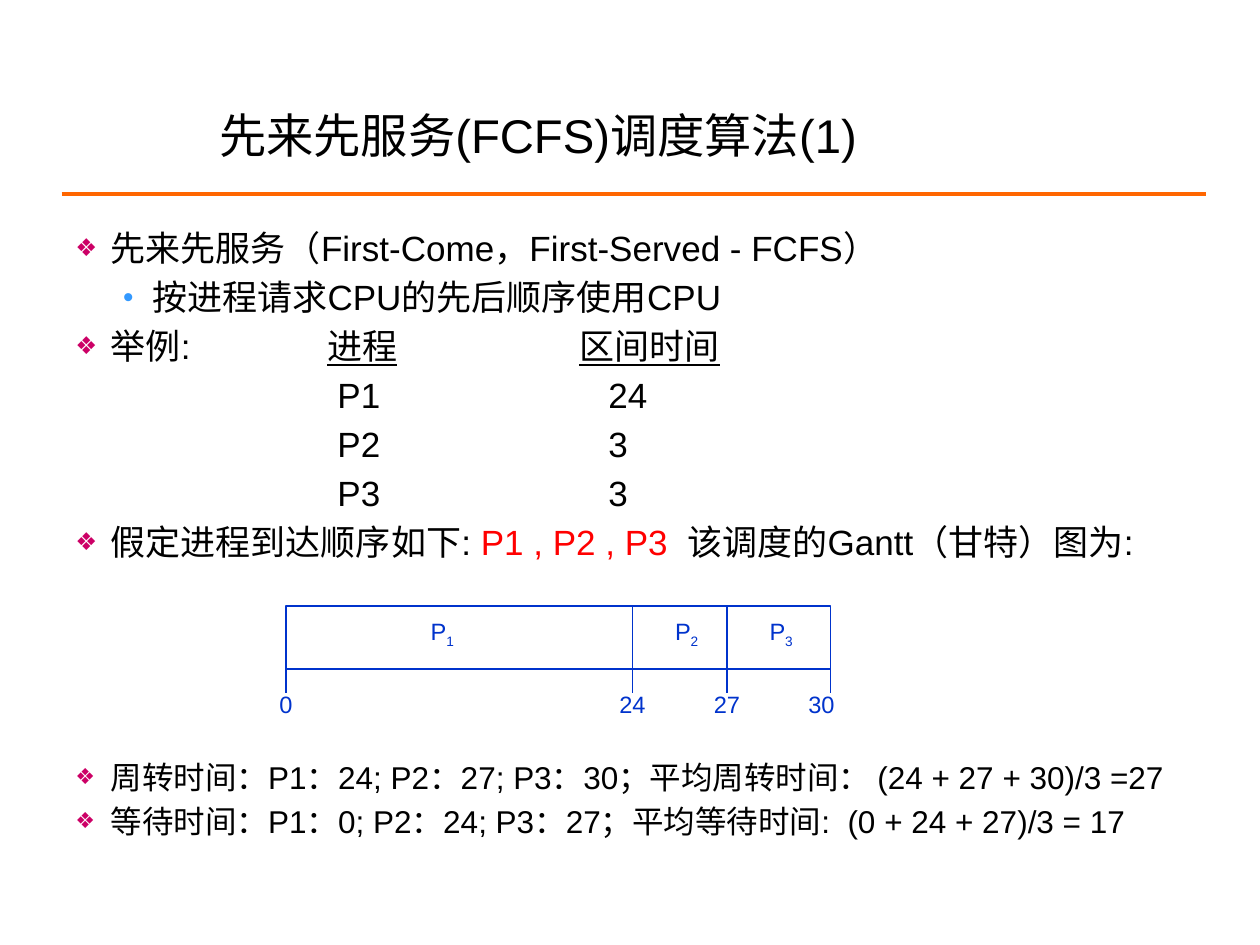
from dataclasses import dataclass

from lxml import etree
from pptx import Presentation
from pptx.dml.color import RGBColor
from pptx.enum import shapes, text
from pptx.oxml import ns
from pptx.util import Inches, Pt


@dataclass(frozen=True)
class Theme:
    font: str = "Arial"
    ink: str = "000000"
    paper: str = "FFFFFF"
    rule: str = "FF6600"
    accent: str = "FF0000"
    gantt: str = "0033CC"
    diamond: str = "CC0066"
    dot: str = "3399FF"
    title_size: float = 27
    body_size: float = 20
    result_size: float = 18
    gantt_size: float = 13.5


THEME = Theme()

# Bullet styles: character, colour, size in percent, left indent, hanging part
DIAMOND = ("❖", THEME.diamond, 70, 0.28, 0.28)
DOT = ("•", THEME.dot, 85, 0.61, 0.23)

HEADER_TABS = (2, 4)
ROW_TABS = (2.08, 4.23)
PROCESSES = [("P1", 24), ("P2", 3), ("P3", 3)]


def add_element(parent, tag, **attributes):
    child = etree.SubElement(parent, ns.qn(tag))
    for name, value in attributes.items():
        child.set(name, str(value))
    return child


def set_bullet(paragraph, bullet):
    char, color, percent, indent, hanging = bullet
    props = paragraph._p.get_or_add_pPr()
    props.set("marL", str(Inches(indent)))
    props.set("indent", str(-Inches(hanging)))
    add_element(add_element(props, "a:buClr"), "a:srgbClr", val=color)
    add_element(props, "a:buSzPct", val=percent * 1000)
    add_element(props, "a:buFont", typeface=THEME.font)
    add_element(props, "a:buChar", char=char)


def set_tabs(paragraph, stops):
    tab_list = add_element(paragraph._p.get_or_add_pPr(), "a:tabLst")
    for stop in stops:
        add_element(tab_list, "a:tab", pos=Inches(stop), algn="l")


def write(paragraph, content, size=THEME.body_size, color=THEME.ink,
          underline=None, baseline=None):
    run = paragraph.add_run()
    run.text = content
    font = run.font
    font.name, font.size, font.underline = THEME.font, Pt(size), underline
    font.color.rgb = RGBColor.from_string(color)
    if baseline is not None:
        run._r.get_or_add_rPr().set("baseline", str(baseline * 1000))


def add_box(slide, left, top, width, height, anchor=text.MSO_ANCHOR.TOP, wrap=True):
    box = slide.shapes.add_textbox(Inches(left), Inches(top), Inches(width), Inches(height))
    frame = box.text_frame
    frame.word_wrap = wrap
    frame.vertical_anchor = anchor
    return frame


def add_line(slide, start, end, color, width):
    line = slide.shapes.add_connector(
        shapes.MSO_CONNECTOR.STRAIGHT, *(Inches(v) for v in (*start, *end)))
    line.line.color.rgb = RGBColor.from_string(color)
    line.line.width = Pt(width)
    add_element(line._element.spPr, "a:effectLst")


def add_item(frame, runs, bullet=None, tabs=(), before=4.0, size=THEME.body_size):
    first = not frame.paragraphs[0].runs
    paragraph = frame.paragraphs[0] if first else frame.add_paragraph()
    if not first:
        paragraph.space_before = Pt(before)
    if bullet:
        set_bullet(paragraph, bullet)
    if tabs:
        set_tabs(paragraph, tabs)
    for content, style in runs:
        write(paragraph, content, size=size, **style)


def add_title(slide):
    frame = add_box(slide, 1.64, 0.75, 7.26, 0.64, anchor=text.MSO_ANCHOR.MIDDLE)
    write(frame.paragraphs[0], "先来先服务(FCFS)调度算法(1)", size=THEME.title_size)
    add_line(slide, (0.49, 1.54), (9.57, 1.54), THEME.rule, 2.25)


def add_body(slide):
    frame = add_box(slide, 0.5, 1.75, 9, 4.95)
    add_item(frame, [("先来先服务（First-Come，First-Served - FCFS）", {})], DIAMOND)
    add_item(frame, [("按进程请求CPU的先后顺序使用CPU", {})], DOT)

    # Example: process and burst time columns
    underlined = {"underline": True}
    add_item(frame, [("举例:\t", {}), ("进程", underlined),
                     ("\t", {}), ("区间时间", underlined)], DIAMOND, HEADER_TABS)
    for process, burst in PROCESSES:
        add_item(frame, [(f"\t{process}\t{burst}", {})], tabs=ROW_TABS)
    add_item(frame, [("假定进程到达顺序如下: ", {}),
                     ("P1 , P2 , P3 ", {"color": THEME.accent}),
                     (" 该调度的Gantt（甘特）图为:", {})], DIAMOND)

    # Results, below the space kept for the Gantt chart
    turnaround = "周转时间：P1：24; P2：27; P3：30；平均周转时间： (24 + 27 + 30)/3 =27"
    waiting = "等待时间：P1：0; P2：24; P3：27；平均等待时间:  (0 + 24 + 27)/3 = 17"
    for result, before in ((turnaround, 111.5), (waiting, 3.6)):
        add_item(frame, [(result, {})], DIAMOND, before=before, size=THEME.result_size)


def add_gantt_label(slide, center, top, label, subscript=""):
    width = 0.41
    frame = add_box(slide, center - width / 2, top, width, 0.33,
                    anchor=text.MSO_ANCHOR.MIDDLE, wrap=False)
    # No side margins, so two digits always fit on one line
    frame.margin_left = frame.margin_right = 0
    paragraph = frame.paragraphs[0]
    paragraph.alignment = text.PP_ALIGN.CENTER
    style = {"size": THEME.gantt_size, "color": THEME.gantt}
    write(paragraph, label, **style)
    if subscript:
        write(paragraph, subscript, baseline=-25, **style)


def add_gantt(slide):
    top, bottom, tick_end = 4.81, 5.31, 5.5
    edges = (2.27, 5.02, 5.77, 6.59)
    bar = slide.shapes.add_shape(
        shapes.MSO_SHAPE.RECTANGLE, Inches(edges[0]), Inches(top),
        Inches(edges[-1] - edges[0]), Inches(bottom - top))
    bar.shadow.inherit = False
    bar.fill.solid()
    bar.fill.fore_color.rgb = RGBColor.from_string(THEME.paper)
    bar.line.color.rgb = RGBColor.from_string(THEME.gantt)
    bar.line.width = Pt(0.75)

    # Dividers between processes, and ticks on the time axis
    for edge in edges[1:-1]:
        add_line(slide, (edge, top), (edge, bottom), THEME.gantt, 0.75)
    for edge in edges:
        add_line(slide, (edge, bottom), (edge, tick_end), THEME.gantt, 0.75)

    for number, center in enumerate((3.51, 5.45, 6.2), start=1):
        add_gantt_label(slide, center, 4.86, "P", str(number))
    for time, center in zip((0, 24, 27, 30), (2.27, 5.02, 5.77, 6.52)):
        add_gantt_label(slide, center, 5.42, str(time))


def main():
    deck = Presentation()
    deck.slide_width, deck.slide_height = Inches(10), Inches(7.5)
    slide = deck.slides.add_slide(deck.slide_layouts[6])
    add_title(slide)
    add_body(slide)
    add_gantt(slide)
    deck.save("out.pptx")


if __name__ == "__main__":
    main()
